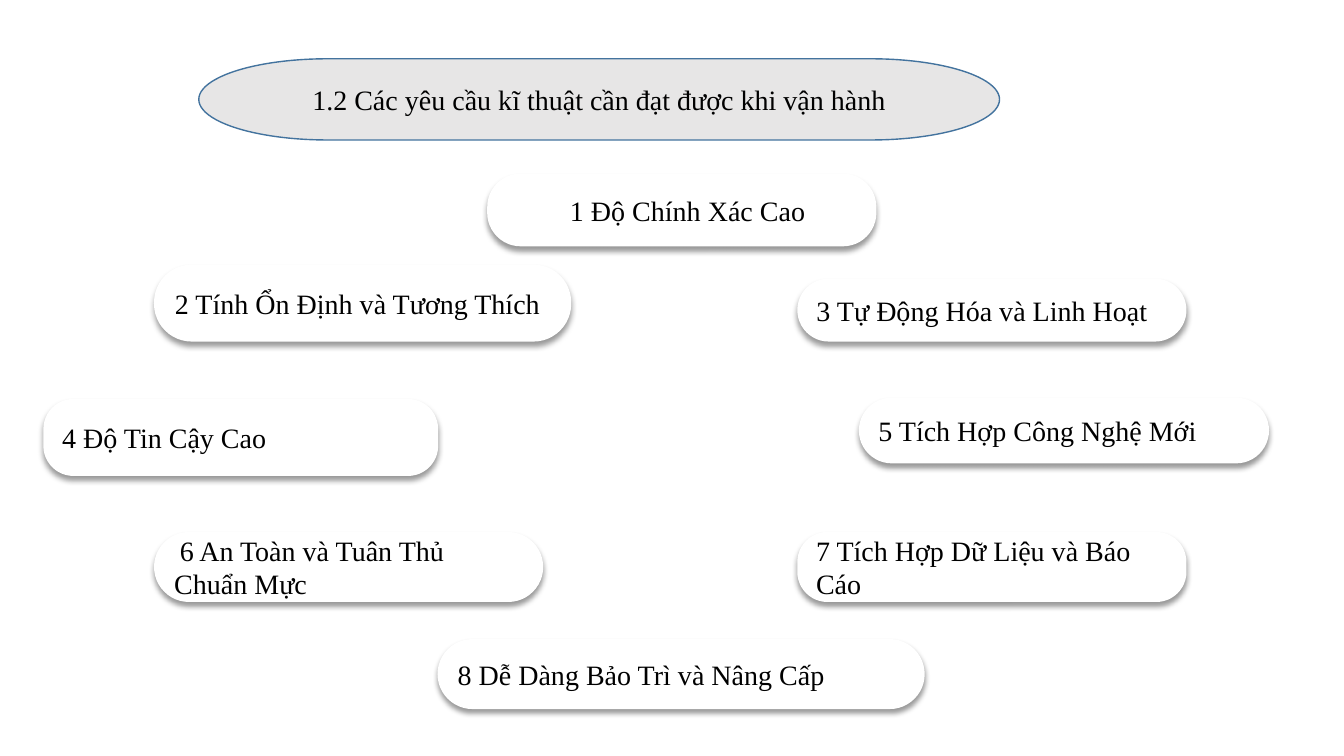
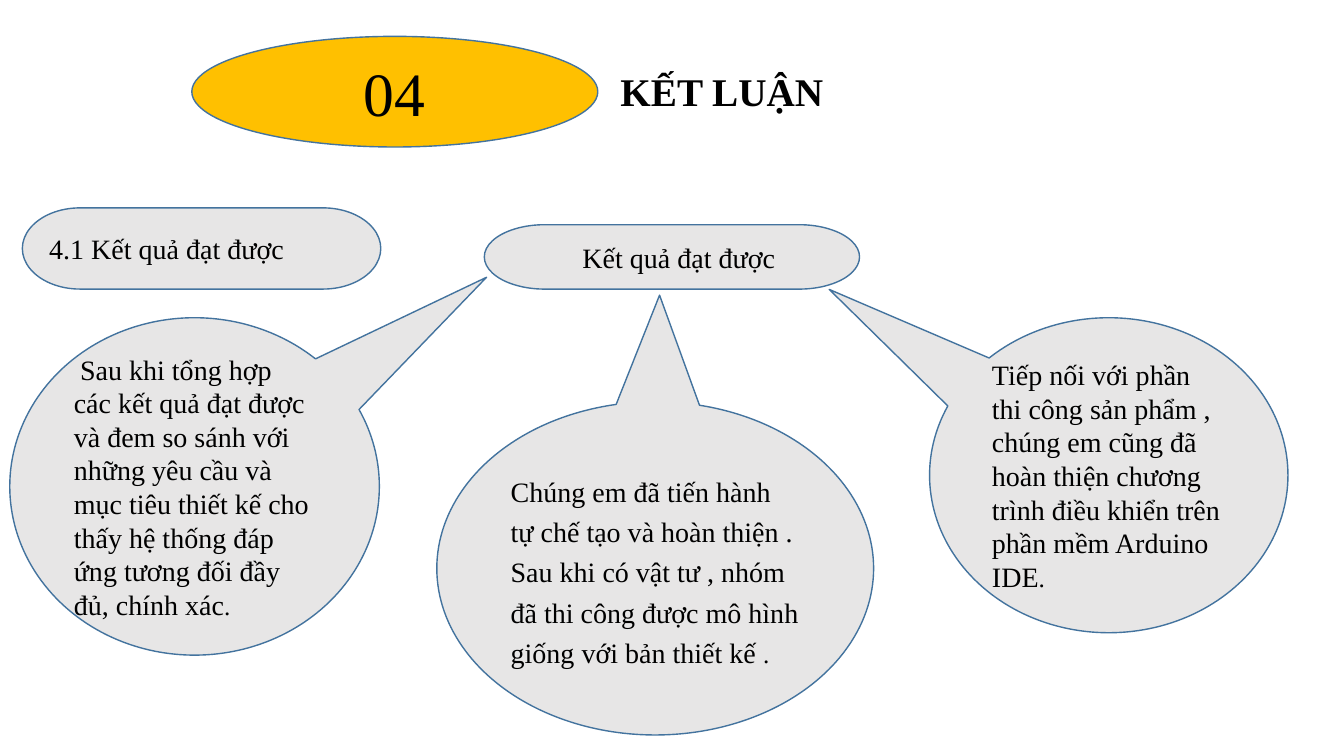
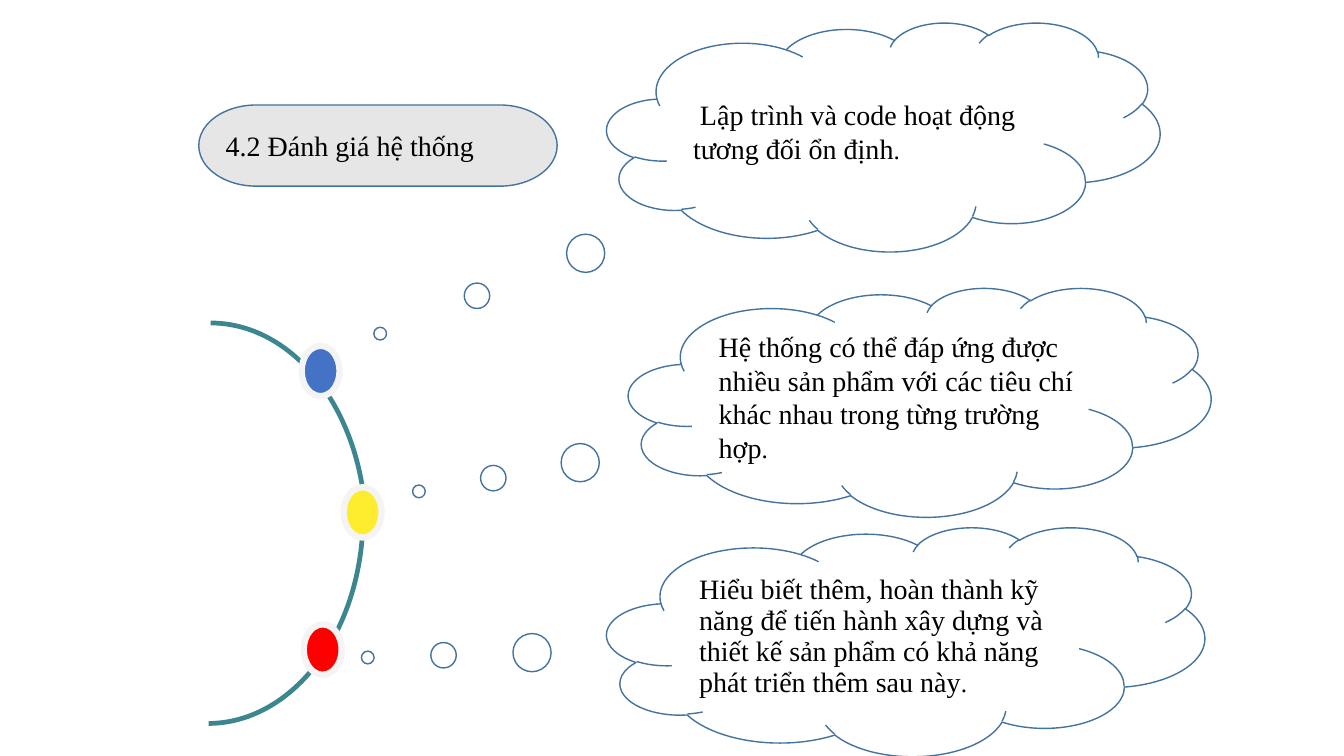
from lxml.etree import SubElement
from pptx import Presentation
from pptx.dml.color import RGBColor
from pptx.enum.shapes import MSO_SHAPE as Form
from pptx.enum.text import MSO_ANCHOR, MSO_AUTO_SIZE, PP_ALIGN
from pptx.oxml.ns import qn
from pptx.util import Pt

HUES = {
    "ink": "000000", "paper": "FFFFFF", "grey": "E7E6E6", "edge": "43739E",
    "gold": "FFC000", "teal": "3B868F", "rim": "F4F4F4",
    "blue": "4472C4", "lemon": "FEED2E", "red": "FF0000",
}
FONT = "Times New Roman"


class Deck:
    """Holds the shared style and the slide being drawn."""

    def __init__(self):
        self.show = Presentation()
        self.show.slide_width = Pt(960)
        self.show.slide_height = Pt(540)

    def hue(self, name):
        return RGBColor.from_string(HUES[name])

    def page(self):
        self.slide = self.show.slides.add_slide(self.show.slide_layouts[5])

    def words(self, shape, runs, align=PP_ALIGN.LEFT, lead=0, space=None,
              anchor=MSO_ANCHOR.MIDDLE, bold=False):
        frame = shape.text_frame
        frame.word_wrap = True
        frame.auto_size = MSO_AUTO_SIZE.NONE
        frame.vertical_anchor = anchor
        para = frame.paragraphs[0]
        para.alignment = align
        if lead:
            para._p.get_or_add_pPr().set("indent", str(Pt(lead)))
        if space:
            para.line_spacing = space
        for text, size in runs:
            run = para.add_run()
            run.text = text
            run.font.size = Pt(size)
            run.font.name = FONT
            run.font.bold = bold
            run.font.color.rgb = self.hue("ink")

    def title(self, box, text, size=20, **style):
        head = self.slide.shapes.title
        head.left, head.top, head.width, head.height = map(Pt, box)
        self.words(head, [(text, size)], **style)
        return head

    def shape(self, form, box, fill, line="edge", width=1, adjust=()):
        item = self.slide.shapes.add_shape(form, *map(Pt, box))
        item.shadow.inherit = False
        item.fill.solid()
        item.fill.fore_color.rgb = self.hue(fill)
        if line:
            item.line.color.rgb = self.hue(line)
            item.line.width = Pt(width)
        else:
            item.line.fill.background()
        for spot, value in enumerate(adjust):
            item.adjustments[spot] = value
        return item

    def pill(self, box):
        return self.shape(Form.FLOWCHART_TERMINATOR, box, "grey")

    def banner(self, box, text, **style):
        left, top, width, height = box
        pill = self.pill(box)
        head = self.title((left + 12, top, width - 24, height), text, **style)
        pill.element.addnext(head.element)

    def card(self, box, bend, text, lead=0):
        item = self.shape(Form.ROUNDED_RECTANGLE, box, "paper", None, adjust=[bend])
        glow = SubElement(item.element.spPr.find(qn("a:effectLst")), qn("a:outerShdw"),
                          blurRad=str(Pt(4)), dist=str(Pt(3)), dir="5400000",
                          algn="t", rotWithShape="0")
        tint = SubElement(glow, qn("a:srgbClr"), val=HUES["ink"])
        SubElement(tint, qn("a:alpha"), val="40000")
        self.words(item, [(text, 20)], lead=lead)

    def callout(self, form, box, fill, tip, text, **style):
        item = self.shape(form, box, fill, adjust=tip)
        self.words(item, [(text, 20), (".", 18)], **style)

    def label(self, box, text):
        item = self.slide.shapes.add_textbox(*map(Pt, box))
        self.words(item, [(text, 20)], anchor=MSO_ANCHOR.TOP)

    def arc(self, left, top, start, end):
        wide, tall = 300, 225
        item = self.shape(Form.BLOCK_ARC, (left, top, wide, tall), "teal", None,
                          adjust=(start, end, 3.4 / tall))
        item.rotation = 90


def needs(deck):
    """Draws the operating requirements."""
    deck.page()
    deck.banner((142, 42, 572, 58), "1.2 Các yêu cầu kĩ thuật cần đạt được khi vận hành",
                align=PP_ALIGN.CENTER)
    cards = [
        ((348, 124, 278, 52), 0.46, "1 Độ Chính Xác Cao", 45),
        ((110, 189, 298, 55), 0.49, "2 Tính Ổn Định và Tương Thích", 0),
        ((569.5, 199, 278, 45), 0.5, "3 Tự Động Hóa và Linh Hoạt", 0),
        ((31, 285, 282, 55), 0.39, "4 Độ Tin Cậy Cao", 0),
        ((613.5, 284, 293, 47), 0.5, "5 Tích Hợp Công Nghệ Mới", 0),
        ((110, 380, 278, 50), 0.5, "6 An Toàn và Tuân Thủ Chuẩn Mực", 4),
        ((569.5, 380, 278, 50), 0.43, "7 Tích Hợp Dữ Liệu và Báo Cáo", 0),
        ((312.5, 456.5, 348, 50), 0.5, "8 Dễ Dàng Bảo Trì và Nâng Cấp", 0),
    ]
    for card in cards:
        deck.card(*card)


def results(deck):
    """Draws the results reached."""
    deck.page()
    badge = deck.shape(Form.OVAL, (137, 26, 290, 79), "gold")
    deck.words(badge, [("04", 44)], align=PP_ALIGN.CENTER)
    deck.title((436, 48, 518, 74), "KẾT LUẬN", 28, bold=True, space=0.9,
               anchor=MSO_ANCHOR.TOP)
    notes = [
        ((7, 227, 264, 241), (0.79, -0.62),
         "Sau khi tổng hợp các kết quả đạt được và đem so sánh với những yêu cầu "
         "và mục tiêu thiết kế cho thấy hệ thống đáp ứng tương đối đầy đủ, chính xác",
         {"lead": 4.5}),
        ((312, 287, 312, 238), (0.01, -0.82),
         "Chúng em đã tiến hành tự chế tạo và hoàn thiện . Sau khi có vật tư , "
         "nhóm đã thi công được mô hình giống với bản thiết kế ", {"space": 1.2}),
        ((664, 227, 256, 225), (-0.78, -0.59),
         "Tiếp nối với phần thi công sản phẩm , chúng em cũng đã hoàn thiện "
         "chương trình điều khiển trên phần mềm Arduino IDE", {}),
    ]
    for box, tip, text, style in notes:
        deck.callout(Form.OVAL_CALLOUT, box, "grey", tip, text, **style)
    deck.pill((346, 160.5, 268, 46))
    deck.label((409, 168, 196, 32), "Kết quả đạt được")
    topic = deck.pill((16, 148.5, 256, 58))
    deck.words(topic, [("4.1 Kết quả đạt được", 20)])


def review(deck):
    """Draws the system review."""
    deck.page()
    deck.arc(-1.5, 256, 162, 215.9)
    deck.arc(0.5, 266.5, 108, 162)
    for left, top, fill in [(245.5, 348, "lemon"), (217, 446, "red"), (215.5, 247, "blue")]:
        deck.shape(Form.OVAL, (left, top, 27, 36), fill, "rim", 4.5)
    clouds = [
        ((433.5, 16, 395, 163.5), (-0.91, 0.86),
         "Lập trình và code hoạt động tương đối ổn định", {"lead": 5}),
        ((449, 205.5, 416, 163.5), (-0.86, 0.39),
         "Hệ thống có thể đáp ứng được nhiều sản phẩm với các tiêu chí khác nhau "
         "trong từng trường hợp", {}),
        ((433.5, 376.5, 427, 163.5), (-0.9, 0.07),
         "Hiểu biết thêm, hoàn thành kỹ năng để tiến hành xây dựng và thiết kế "
         "sản phẩm có khả năng phát triển thêm sau này", {"space": Pt(22)}),
    ]
    for box, tip, text, style in clouds:
        deck.callout(Form.CLOUD_CALLOUT, box, "paper", tip, text, **style)
    deck.banner((142, 75, 256, 58), "4.2 Đánh giá hệ thống")


def main():
    """Builds and saves the deck."""
    deck = Deck()
    for draw in (needs, results, review):
        draw(deck)
    deck.show.save("out.pptx")


if __name__ == "__main__":
    main()
